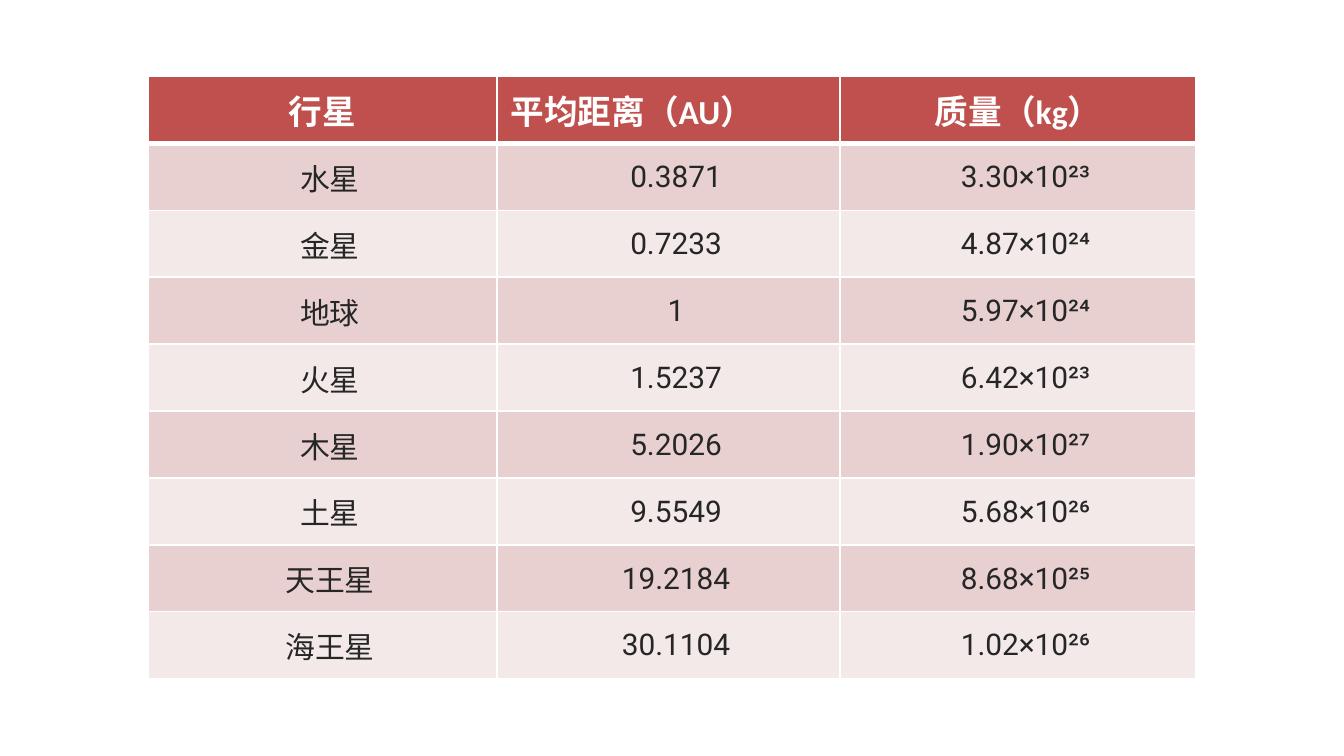
import pptx
import pptx.dml.color
import pptx.enum.text
import pptx.oxml
import pptx.oxml.ns
import pptx.util

WHITE = pptx.dml.color.RGBColor(0xFF, 0xFF, 0xFF)
RED = pptx.dml.color.RGBColor(0xC0, 0x50, 0x4D)
INK = pptx.dml.color.RGBColor(0x26, 0x26, 0x26)
ROSE = pptx.dml.color.RGBColor(0xE8, 0xD0, 0xD0)
PALE_ROSE = pptx.dml.color.RGBColor(0xF4, 0xE9, 0xE9)
BANDS = (ROSE, PALE_ROSE)

SLIDE_W = 10
SLIDE_H = SLIDE_W * 9 / 16
LEFT, TOP, HEIGHT = 1.1, 0.57, 4.48
COLUMN_WIDTHS = (2.6, 2.55, 2.65)
BODY_MARGINS = (0.12, 0.01, 0.01, 0)

HEADINGS = ("行星", "平均距离（AU）", "质量（kg）")
PLANETS = (
    ("水星", "0.3871", "3.30×10²³"),
    ("金星", "0.7233", "4.87×10²⁴"),
    ("地球", "1", "5.97×10²⁴"),
    ("火星", "1.5237", "6.42×10²³"),
    ("木星", "5.2026", "1.90×10²⁷"),
    ("土星", "9.5549", "5.68×10²⁶"),
    ("天王星", "19.2184", "8.68×10²⁵"),
    ("海王星", "30.1104", "1.02×10²⁶"),
)


def set_borders(cell, top=1, bottom=1):
    """Draw white cell borders; widths are in points."""
    tc_pr = cell._tc.get_or_add_tcPr()
    sides = (("L", 1), ("R", 1), ("T", top), ("B", bottom))
    for i, (side, width) in enumerate(sides):
        line = pptx.oxml.parse_xml(
            f'<a:ln{side} {pptx.oxml.ns.nsdecls("a")} w="{pptx.util.Pt(width)}">'
            f'<a:solidFill><a:srgbClr val="{WHITE}"/></a:solidFill></a:ln{side}>'
        )
        tc_pr.insert(i, line)


def fill_cell(cell, text, fill, font, size, color, bold=False, centred=True):
    cell.fill.solid()
    cell.fill.fore_color.rgb = fill
    cell.vertical_anchor = pptx.enum.text.MSO_ANCHOR.MIDDLE
    p = cell.text_frame.paragraphs[0]
    if centred:
        p.alignment = pptx.enum.text.PP_ALIGN.CENTER
    r = p.add_run()
    r.text = text
    r.font.name = font
    r.font.size = pptx.util.Pt(size)
    r.font.bold = bold
    r.font.color.rgb = color


def set_margins(cell, margins):
    """Set left, top, right and bottom insets in inches."""
    (cell.margin_left, cell.margin_top,
     cell.margin_right, cell.margin_bottom) = map(pptx.util.Inches, margins)


def add_planet_table(s):
    row_count = len(PLANETS) + 1
    table = s.shapes.add_table(
        row_count, len(HEADINGS),
        pptx.util.Inches(LEFT), pptx.util.Inches(TOP),
        pptx.util.Inches(sum(COLUMN_WIDTHS)), pptx.util.Inches(HEIGHT),
    ).table
    for column, width in zip(table.columns, COLUMN_WIDTHS):
        column.width = pptx.util.Inches(width)
    for row in table.rows:
        row.height = pptx.util.Inches(HEIGHT / row_count)

    for col, heading in enumerate(HEADINGS):
        cell = table.cell(0, col)
        fill_cell(cell, heading, RED, "Calibri", 18, WHITE, bold=True, centred=col != 1)
        set_borders(cell, bottom=3)

    for row, planet in enumerate(PLANETS, start=1):
        for col, value in enumerate(planet):
            cell = table.cell(row, col)
            fill_cell(cell, value, BANDS[(row - 1) % 2], "Roboto", 16, INK)
            set_margins(cell, BODY_MARGINS)
            set_borders(cell, top=3 if row == 1 else 1)


def main():
    prs = pptx.Presentation()
    prs.slide_width = pptx.util.Inches(SLIDE_W)
    prs.slide_height = pptx.util.Inches(SLIDE_H)
    s = prs.slides.add_slide(prs.slide_layouts[6])
    add_planet_table(s)
    prs.save("out.pptx")


if __name__ == "__main__":
    main()
